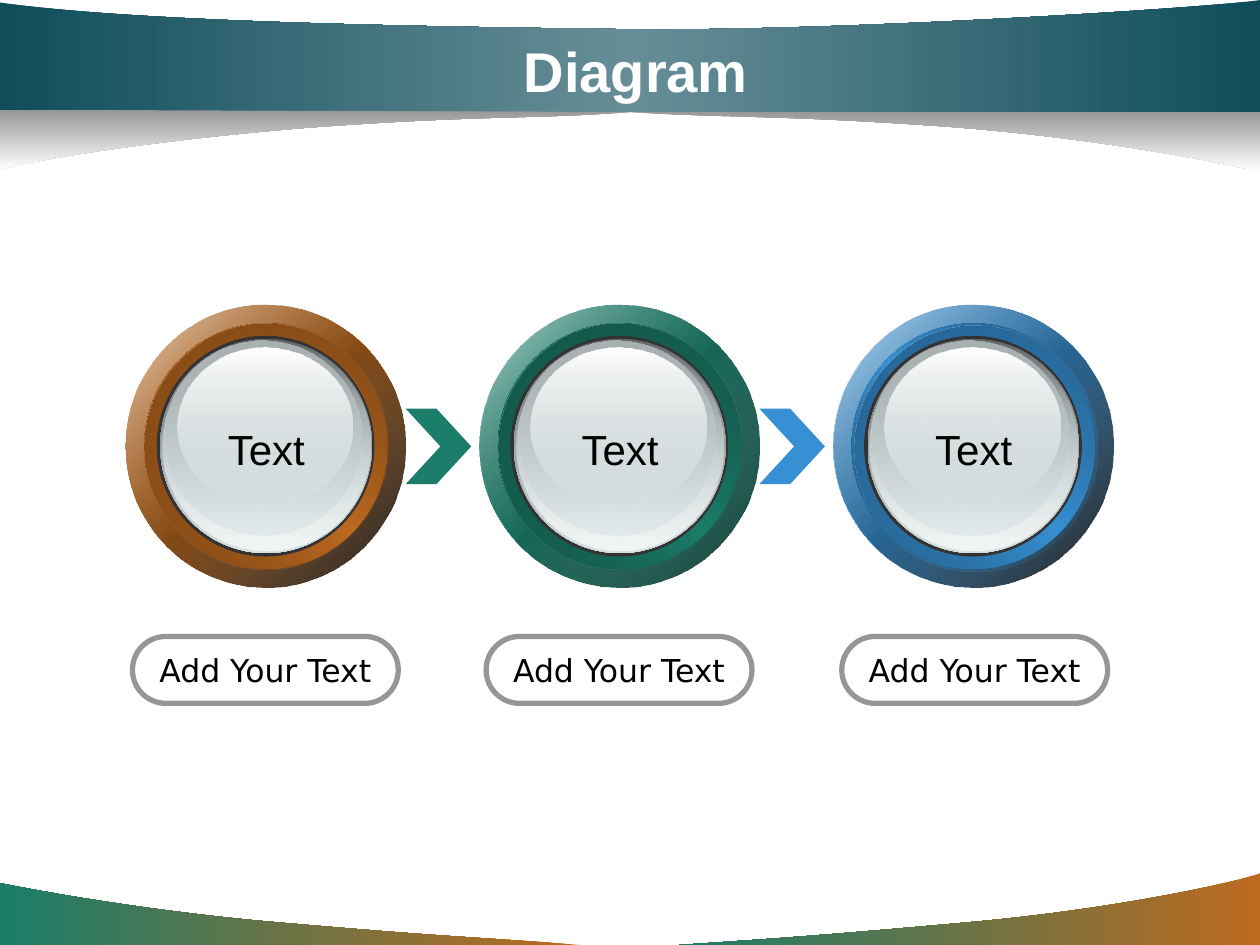
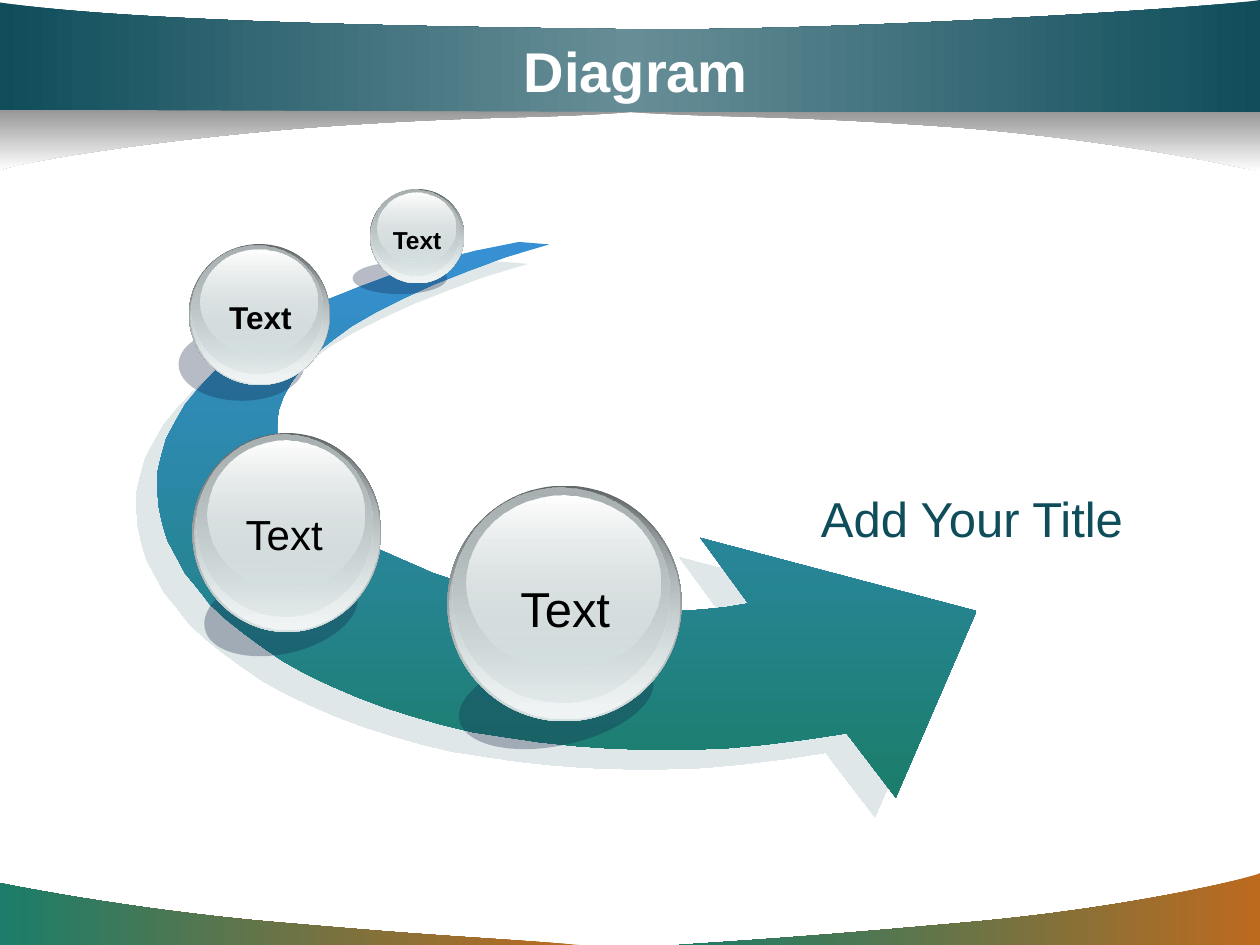
from lxml import etree
from pptx import Presentation
from pptx import util as u
from pptx.dml.color import RGBColor
from pptx.enum import shapes, text
from pptx.oxml import ns

Cm = u.Cm
WHITE = RGBColor(0xFF, 0xFF, 0xFF)
BLACK = RGBColor(0x00, 0x00, 0x00)
GREEN = RGBColor(0x1B, 0x7D, 0x6A)
ORANGE = RGBColor(0xBD, 0x6A, 0x1F)
BLUE = RGBColor(0x37, 0x90, 0xD3)
TEAL = RGBColor(0x0F, 0x4D, 0x5B)
PALE_TEAL = RGBColor(0x67, 0x8E, 0x97)
GREY = RGBColor(0x96, 0x96, 0x96)
CHARCOAL = RGBColor(0x33, 0x33, 0x33)
NAVY = RGBColor(0x0F, 0x21, 0x45)
STEEL = RGBColor(0x63, 0x68, 0x69)
SILVER = RGBColor(0xD6, 0xE1, 0xE2)
MIST = RGBColor(0xF1, 0xF5, 0xF5)
ASH = RGBColor(0xAA, 0xB2, 0xB3)
ARROW_SHADOW = RGBColor(0xC1, 0xD1, 0xD3)
BROWN_EDGE = RGBColor(0x66, 0x39, 0x11)
BROWN_INNER = RGBColor(0x78, 0x43, 0x14)
GREEN_SHADE = RGBColor(0x0D, 0x3A, 0x31)
GREEN_EDGE = RGBColor(0x0F, 0x44, 0x39)
GREEN_INNER = RGBColor(0x11, 0x4F, 0x43)
BLUE_EDGE = RGBColor(0x1E, 0x4E, 0x72)
BLUE_INNER = RGBColor(0x23, 0x5B, 0x86)

OVAL = shapes.MSO_SHAPE.OVAL
GRID = Cm(0.0254)


def shade(shape, stops, angle=0):
    shape.shadow.inherit = False
    shape.line.fill.background()
    if len(stops) == 1:
        shape.fill.solid()
        shape.fill.fore_color.rgb = stops[0][0]
        tints = [shape._element.spPr.find(ns.qn("a:solidFill"))[0]]
    else:
        shape.fill.gradient()
        shape.fill.gradient_angle = (360 - angle) % 360
        stop_list = shape._element.spPr.find(".//" + ns.qn("a:gsLst"))
        for old in list(stop_list):
            stop_list.remove(old)
        tints = []
        for i, (colour, _) in enumerate(stops):
            stop = etree.SubElement(stop_list, ns.qn("a:gs"), pos=str(100000 * i // (len(stops) - 1)))
            tints.append(etree.SubElement(stop, ns.qn("a:srgbClr"), val=str(colour)))
    for tint, (_, opacity) in zip(tints, stops):
        if opacity < 100:
            etree.SubElement(tint, ns.qn("a:alpha"), val=str(opacity * 1000))


def label(shape, words, size, colour=BLACK, face="Arial", bold=False, wrap=False,
          grow=False, align=text.PP_ALIGN.CENTER):
    frame = shape.text_frame
    frame.word_wrap = wrap
    frame.vertical_anchor = text.MSO_ANCHOR.MIDDLE
    if grow:
        frame.vertical_anchor = text.MSO_ANCHOR.TOP
        frame.auto_size = text.MSO_AUTO_SIZE.SHAPE_TO_FIT_TEXT
    line = frame.paragraphs[0]
    line.text = words
    line.alignment = align
    line.font.name = face
    line.font.size = u.Pt(size)
    line.font.bold = bold
    line.font.color.rgb = colour


prs = Presentation()
prs.slide_width = Cm(25.4)
prs.slide_height = Cm(19.05)
process = prs.slides.add_slide(prs.slide_layouts[6])
journey = prs.slides.add_slide(prs.slide_layouts[6])

footer_stops = [(ORANGE, 100), (GREEN, 100)]
shadow_stops = [(GREY, 100), (WHITE, 100)]
header_stops = [(TEAL, 100), (PALE_TEAL, 100), (TEAL, 100)]
bands = [
    ([(460, 750), (384, 744), (358, 744), (232, 733), (106, 723), (1, 701), (0, 701)],
     [(0, 750)], footer_stops, 180),
    ([(539, 750), (614, 745), (646, 743), (769, 732), (892, 721), (990, 698), (1000, 693)],
     [(1000, 750)], footer_stops, 180),
    ([(500, 89), (584, 94), (620, 91), (758, 101), (897, 112), (998, 136), (1000, 136)],
     [(1000, 88)], shadow_stops, 90),
    ([(1000, 0), (964, 6), (653, 26), (487, 23), (321, 21), (101, 17), (0, 2)],
     [(0, 89), (1000, 89)], header_stops, 180),
    ([(500, 89), (416, 95), (388, 91), (249, 101), (110, 112), (11, 130), (0, 135)],
     [(0, 87)], shadow_stops, 90),
]
for slide in (process, journey):
    for curve, corners, stops, angle in bands:
        builder = slide.shapes.build_freeform(*curve[0], scale=GRID)
        builder.add_line_segments(curve[1:] + corners)
        band = builder.convert_to_shape()
        legs = list(band._element.iter(ns.qn("a:lnTo")))
        for first in (0, 3):
            bend = etree.Element(ns.qn("a:cubicBezTo"))
            legs[first].addprevious(bend)
            for leg in legs[first:first + 3]:
                bend.append(leg[0])
                leg.getparent().remove(leg)
        shade(band, stops, angle)
    title = slide.shapes.add_textbox(Cm(1.92), Cm(0.62), Cm(21.8), Cm(1.57))
    label(title, "Diagram", 32, WHITE, bold=True, wrap=True)

PITCH = 7.13
rings = [
    (ORANGE, (BLACK, 90), BROWN_EDGE, BROWN_INNER, 0.38, 2.67),
    (GREEN, (GREEN_SHADE, 100), GREEN_EDGE, GREEN_INNER, 0.38, 9.8),
    (BLUE, (BLACK, 90), BLUE_EDGE, BLUE_INNER, 0.42, 16.97),
]
balls = []
for i, (colour, dark, edge, inner, inner_inset, pill_left) in enumerate(rings):
    left = 2.54 + i * PITCH
    layers = [
        (0, 5.64, 5.69, [(WHITE, 100), (colour, 100), (WHITE, 100)], 225),
        (0, 5.64, 5.69, [dark, (colour, 32)], 225),
        (0.37, 4.9, 4.95, [(edge, 100), (colour, 100), (edge, 100)], 135),
        (inner_inset, 4.9, 4.95, [(colour, 0), (inner, 100)], 225),
        (0.62, 4.39, 4.45, [(CHARCOAL, 100)], 0),
    ]
    for inset, width, height, stops, angle in layers:
        ring = process.shapes.add_shape(OVAL, Cm(left + inset), Cm(6.15 + inset), Cm(width), Cm(height))
        shade(ring, stops, angle)
    balls.append((process, left + 0.69, 6.83, 4.27, 4.32, 24,
                  (left + 1.75, 8.41, 2.16, 1.27), None, 0))

    if i:
        chevron = process.shapes.add_shape(shapes.MSO_SHAPE.CHEVRON, Cm(left - 1.49), Cm(8.24),
                                           Cm(1.32), Cm(1.52))
        chevron.adjustments[0] = 0.53
        shade(chevron, [(colour, 100)])

    pill = process.shapes.add_shape(shapes.MSO_SHAPE.ROUNDED_RECTANGLE, Cm(pill_left), Cm(12.83),
                                    Cm(5.36), Cm(1.35))
    pill.adjustments[0] = 0.5
    pill.shadow.inherit = False
    pill.fill.background()
    pill.line.color.rgb = GREY
    pill.line.width = u.Pt(3)
    label(pill, "Add Your Text", 18, face="DejaVu Sans")

arrow_outline = [
    (412, 192), (377, 199), (344, 208), (314, 217), (287, 227), (262, 237), (239, 248), (219, 259),
    (200, 271), (184, 283), (169, 296), (157, 309), (147, 321), (139, 335), (132, 348), (128, 362),
    (125, 375), (125, 389), (126, 402), (129, 416), (133, 429), (140, 442), (147, 455), (157, 467),
    (167, 480), (180, 492), (194, 503), (209, 514), (225, 525), (243, 535), (262, 544), (283, 553),
    (304, 561), (326, 568), (350, 575), (375, 581), (401, 585), (428, 589), (456, 592), (484, 594),
    (514, 595), (544, 595), (575, 594), (607, 591), (639, 587), (672, 582), (711, 633), (775, 485),
    (556, 427), (594, 479), (576, 482), (556, 484), (537, 485), (517, 486), (497, 485), (477, 484),
    (457, 482), (438, 479), (418, 476), (399, 471), (380, 466), (362, 461), (344, 455), (328, 448),
    (312, 441), (296, 434), (283, 426), (270, 417), (258, 408), (248, 399), (239, 389), (231, 379),
    (226, 369), (222, 359), (220, 348), (220, 337), (221, 326), (225, 315), (231, 304), (239, 293),
    (250, 281), (264, 270), (279, 259), (298, 248), (320, 237), (344, 226), (372, 215), (402, 204),
    (436, 194),
]
builder = journey.shapes.build_freeform(*arrow_outline[0], scale=GRID)
builder.add_line_segments(arrow_outline[1:])
arrow = builder.convert_to_shape()
shade(arrow, [(BLUE, 100), (GREEN, 100)], 90)
effects = arrow._element.spPr.find(ns.qn("a:effectLst"))
cast = etree.SubElement(effects, ns.qn("a:outerShdw"), blurRad="0", dist=str(u.Pt(16.3)),
                        dir=str(137 * 60000), algn="ctr", rotWithShape="0")
cast_colour = etree.SubElement(cast, ns.qn("a:srgbClr"), val=str(ARROW_SHADOW))
etree.SubElement(cast_colour, ns.qn("a:alpha"), val="50000")

heading = journey.shapes.add_textbox(Cm(16.3), Cm(9.73), Cm(7.42), Cm(1.45))
label(heading, "Add Your Title", 28, TEAL, wrap=True, grow=True, align=text.PP_ALIGN.LEFT)

balls += [
    (journey, 9.02, 9.79, 4.72, 4.75, 28, (10.19, 11.53, 2.41, 1.45), (9.22, 13.18, 3.99, 1.85), 347.9),
    (journey, 3.88, 8.73, 3.81, 4.01, 24, (4.65, 10.13, 2.16, 1.27), (4.09, 11.48, 3.15, 1.7), 347.1),
    (journey, 3.81, 4.92, 2.84, 2.84, 18, (4.35, 5.89, 1.8, 1.02), (3.6, 6.61, 2.54, 1.47), 0),
    (journey, 7.46, 3.81, 1.9, 1.9, 14, (7.65, 4.42, 1.52, 0.86), (7.11, 5.29, 1.9, 0.64), 0),
]
glass = [
    (0, 0, 1, 1, [(STEEL, 100), (SILVER, 100)]),
    (0.01, 0.01, 0.98, 0.98, [(SILVER, 0), (MIST, 100)]),
    (0.02, 0.01, 0.93, 0.91, [(ASH, 100), (SILVER, 48)]),
    (0.08, 0.04, 0.83, 0.74, [(WHITE, 100), (SILVER, 38)]),
]
for slide, left, top, width, height, size, caption_box, ground, tilt in balls:
    if ground:
        ground_shadow = slide.shapes.add_shape(OVAL, *map(Cm, ground))
        ground_shadow.rotation = tilt
        shade(ground_shadow, [(NAVY, 30)])
    for dx, dy, across, down, stops in glass:
        layer = slide.shapes.add_shape(OVAL, Cm(left + dx * width), Cm(top + dy * height),
                                       Cm(across * width), Cm(down * height))
        shade(layer, stops, 90)
    caption = slide.shapes.add_textbox(*map(Cm, caption_box))
    label(caption, "Text", size, bold=size < 20, grow=True)

prs.save("out.pptx")
